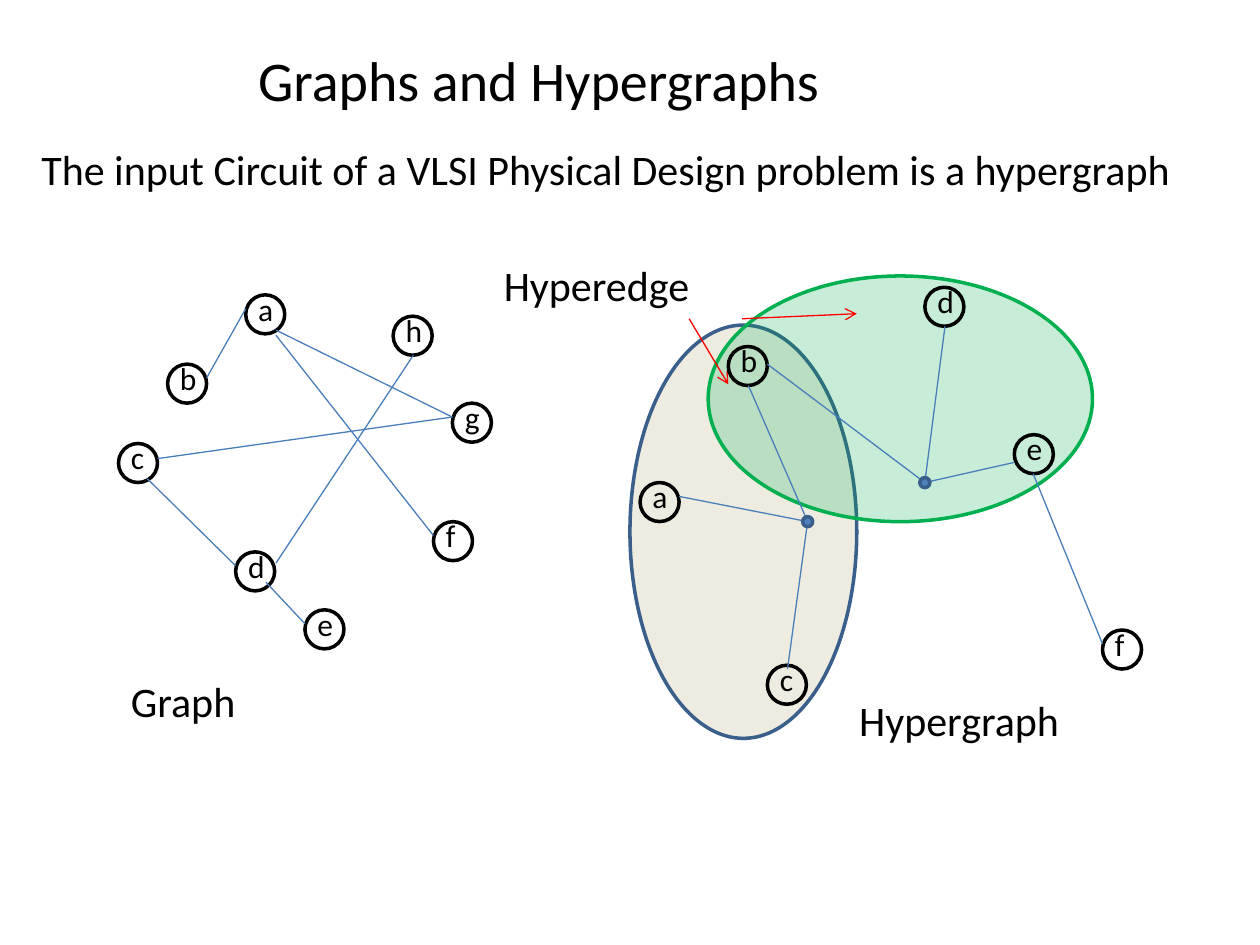
from lxml import etree
from pptx import Presentation
from pptx.dml.color import RGBColor
from pptx.enum.shapes import MSO_CONNECTOR, MSO_SHAPE
from pptx.enum.text import MSO_AUTO_SIZE
from pptx.oxml.ns import qn
from pptx.util import Inches, Pt

NODE_SIZE = 0.31
DOT_SIZE = 0.08
EDGE_COLOUR = "4A7EBB"
ARROW_COLOUR = "FF0000"
OUTLINE_COLOUR = "3A5F8B"

GRAPH_NODES = [
    ("a", 1.95, 2.34), ("b", 1.33, 2.89), ("h", 3.12, 2.51), ("g", 3.59, 3.2),
    ("c", 0.94, 3.52), ("d", 1.87, 4.38), ("e", 2.42, 4.84), ("f", 3.44, 4.14),
]
GRAPH_EDGES = [
    ((1.95, 2.45), (1.64, 3)),
    ((2.19, 2.62), (3.59, 3.31)),
    ((2.19, 2.66), (3.44, 4.25)),
    ((1.25, 3.64), (3.59, 3.31)),
    ((1.17, 3.8), (1.87, 4.49)),
    ((2.11, 4.62), (2.42, 4.95)),
    ((2.19, 4.47), (3.28, 2.82)),
]
HYPERGRAPH_NODES = [
    ("a", 5.08, 3.83), ("b", 5.78, 2.75), ("c", 6.09, 5.28),
    ("d", 7.34, 2.28), ("e", 8.05, 3.45), ("f", 8.75, 5),
]
HYPEREDGE_SPOKES = {
    (6.41, 4.14): [(5.39, 3.94), (5.94, 3.06), (6.25, 5.31)],
    (7.34, 3.83): [(8.05, 3.67), (6.09, 2.89), (7.5, 2.59)],
}
HYPEREDGE_ARROWS = [((5.47, 2.53), (5.78, 3.05)), ((5.89, 2.53), (6.8, 2.49))]


def colour(value):
    return RGBColor.from_string(value)


class SlideBuilder:
    """Draws styled graph elements on the current slide."""

    font_format = {"name": "Calibri", "bold": False}
    frame_format = {
        "word_wrap": True,
        "auto_size": MSO_AUTO_SIZE.SHAPE_TO_FIT_TEXT,
        "margin_left": Inches(0.1),
        "margin_right": Inches(0.1),
        "margin_top": Inches(0.05),
        "margin_bottom": Inches(0.05),
    }

    def __init__(self, slide):
        self.slide = slide

    def apply(self, target, values):
        for name, value in values.items():
            setattr(target, name, value)

    def text(self, content, left, top, width, height, size):
        box = self.slide.shapes.add_textbox(*map(Inches, (left, top, width, height)))
        self.apply(box.text_frame, self.frame_format)
        paragraph = box.text_frame.paragraphs[0]
        paragraph.text = content
        font = paragraph.runs[0].font
        self.apply(font, {**self.font_format, "size": Pt(size)})
        font.color.rgb = colour("000000")

    def ellipse(self, left, top, width, height, line, fill=None, opacity=None, rotation=0):
        shape = self.slide.shapes.add_shape(
            MSO_SHAPE.OVAL, *map(Inches, (left, top, width, height)))
        shape.rotation = rotation
        shape.shadow.inherit = False
        shape.line.color.rgb = colour(line)
        shape.line.width = Pt(2)
        if fill is None:
            shape.fill.background()
            return
        shape.fill.solid()
        shape.fill.fore_color.rgb = colour(fill)
        if opacity is not None:
            fill_element = shape._element.spPr.find(qn("a:solidFill"))
            etree.SubElement(fill_element[0], qn("a:alpha"), val=str(opacity * 1000))

    def node(self, label, left, top):
        self.ellipse(left, top, NODE_SIZE, NODE_SIZE, "000000")
        self.text(label, left, top - 0.09, NODE_SIZE, 0.4, 18)

    def dot(self, x, y):
        corner = (x - DOT_SIZE / 2, y - DOT_SIZE / 2)
        self.ellipse(*corner, DOT_SIZE, DOT_SIZE, OUTLINE_COLOUR, "4F81BD")

    def line(self, start, end, line_colour=EDGE_COLOUR, arrow=False):
        connector = self.slide.shapes.add_connector(
            MSO_CONNECTOR.STRAIGHT, *map(Inches, (*start, *end)))
        connector.line.color.rgb = colour(line_colour)
        connector.line.width = Pt(0.75)
        if arrow:
            etree.SubElement(connector.line._get_or_add_ln(), qn("a:tailEnd"), type="arrow")
        etree.SubElement(connector._element.spPr, qn("a:effectLst"))


def main():
    presentation = Presentation()
    presentation.slide_width = Inches(10)
    presentation.slide_height = Inches(7.5)
    builder = SlideBuilder(presentation.slides.add_slide(presentation.slide_layouts[6]))

    builder.ellipse(5, 2.58, 1.8, 3.28, OUTLINE_COLOUR, "EEECE1")
    builder.ellipse(6.17, 1.64, 1.95, 3.05, "00B050", "00B050", opacity=22, rotation=90)
    builder.text("Hyperedge", 3.9, 2.01, 2.41, 0.5, 24)
    for start, end in HYPEREDGE_ARROWS:
        builder.line(start, end, ARROW_COLOUR, arrow=True)

    builder.text("Graphs and Hypergraphs", 1.95, 0.31, 6.79, 0.63, 32)
    builder.text("The input Circuit of a VLSI Physical Design problem is a hypergraph",
                 0.23, 1.09, 9.53, 0.5, 24)

    for node in GRAPH_NODES:
        builder.node(*node)
    for start, end in GRAPH_EDGES:
        builder.line(start, end)
    builder.text("Graph", 0.94, 5.31, 2.19, 0.5, 24)

    for node in HYPERGRAPH_NODES:
        builder.node(*node)
    for hub, ends in HYPEREDGE_SPOKES.items():
        for end in ends:
            builder.line(hub, end)
    builder.line((8.2, 3.76), (8.75, 5.11))
    for hub in HYPEREDGE_SPOKES:
        builder.dot(*hub)
    builder.text("Hypergraph", 6.72, 5.46, 2.19, 0.5, 24)

    presentation.save("out.pptx")


if __name__ == "__main__":
    main()
